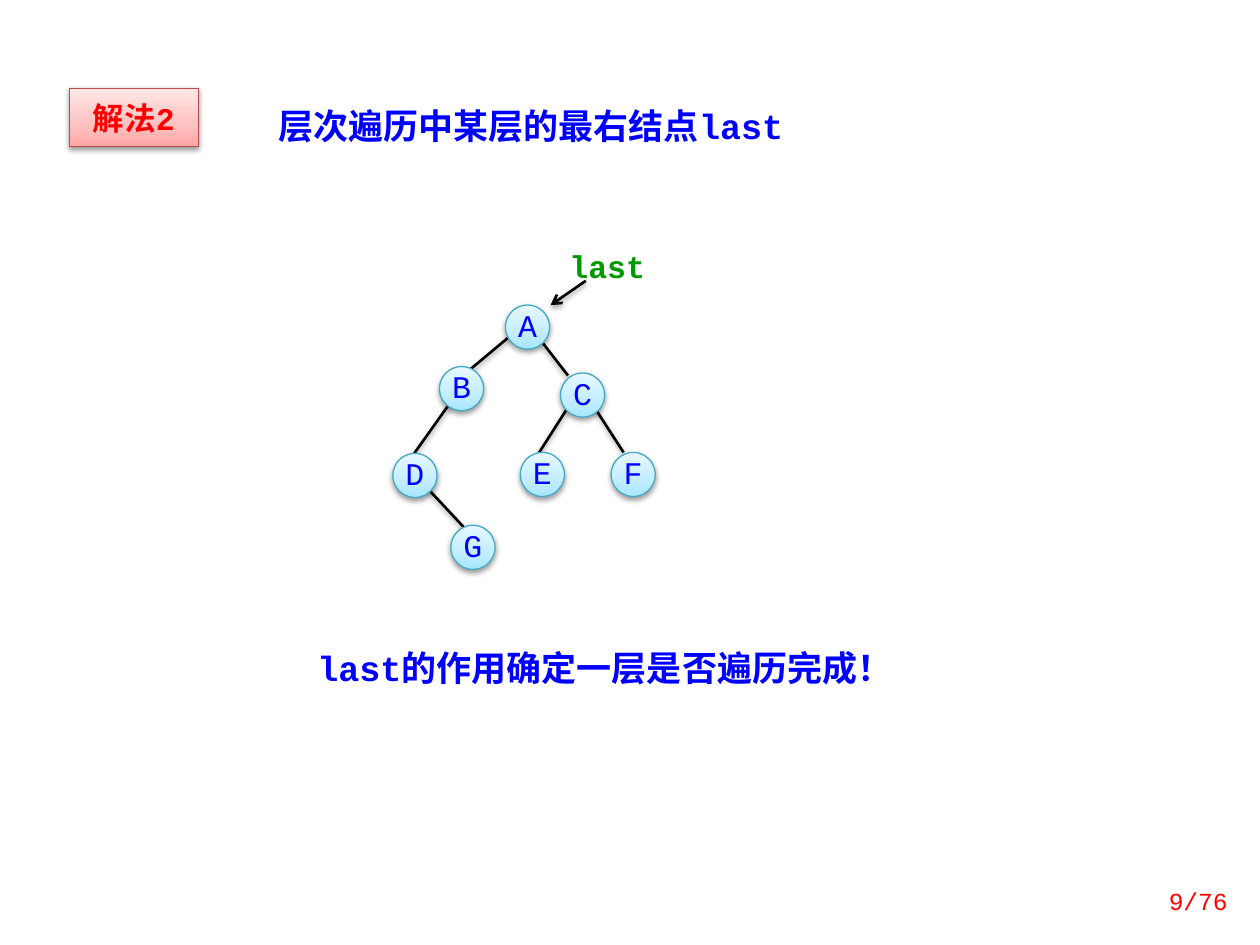
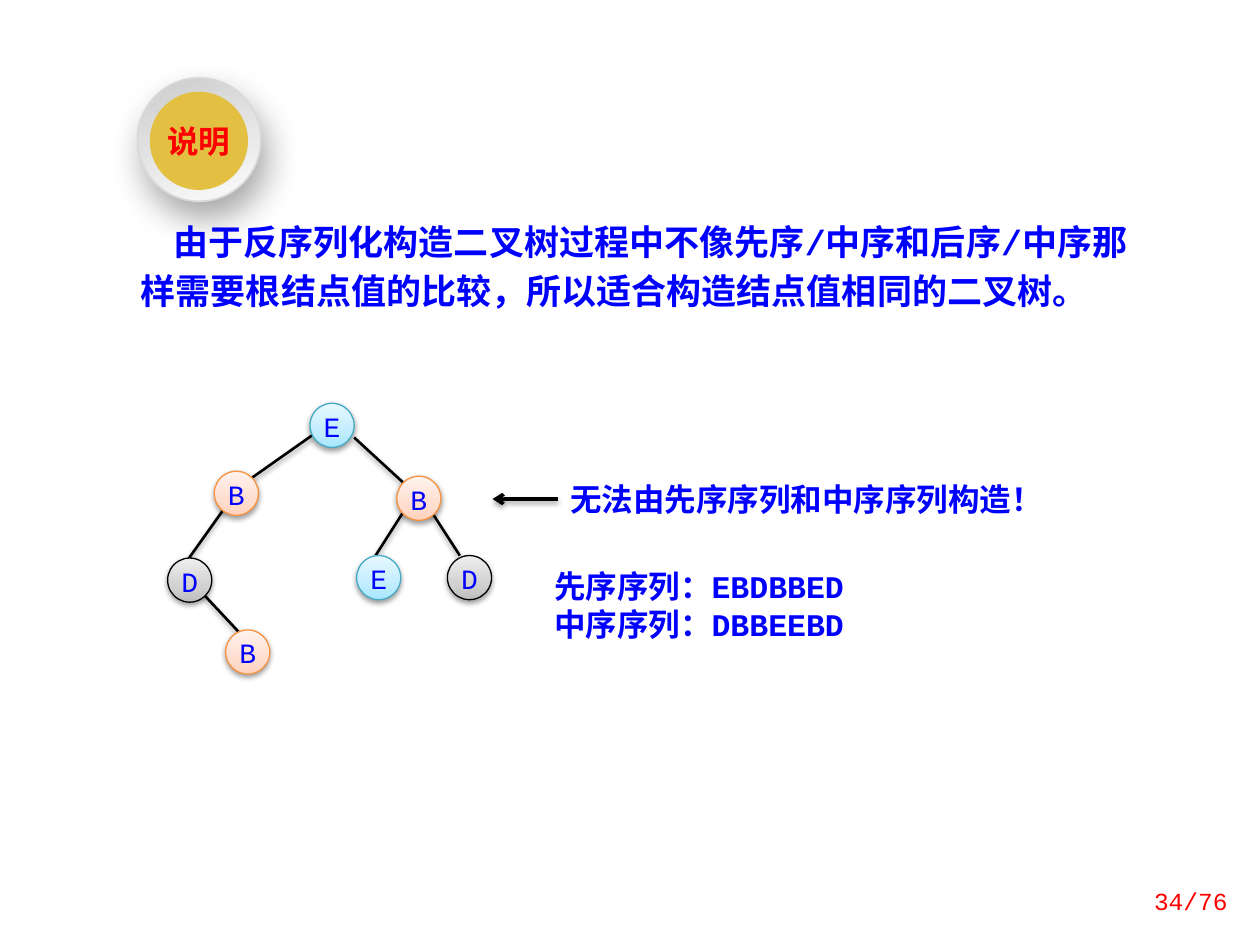
import pptx
import pptx.util
import pptx.dml.color
import pptx.enum.shapes
import pptx.enum.text
import pptx.oxml
import pptx.oxml.ns

Cm, Pt = pptx.util.Cm, pptx.util.Pt
SHAPE = pptx.enum.shapes.MSO_SHAPE
ALIGN = pptx.enum.text.PP_ALIGN
ANCHOR = pptx.enum.text.MSO_ANCHOR
qn = pptx.oxml.ns.qn

COLOURS = {
    "text": "0000FF", "alert": "FF0000", "pointer": "009900", "ink": "000000",
    "gold": "E3BF42", "rim": "D9D9D9",
}
# Each style: outline colour and gradient stops as (percent, colour).
STYLES = {
    "red": ("BF4C48", [(0, "FFA6A5"), (35, "FFC0BF"), (100, "FFE7E7")]),
    "blue": ("46AAC5", [(0, "A7E6FF"), (35, "C1EDFF"), (100, "E7F8FF")]),
    "orange": ("F69240", [(0, "FFD2BD"), (35, "FFDED0"), (100, "FFF2ED")]),
    "grey": ("000000", [(0, "BDBDBD"), (35, "D1D1D1"), (100, "EEEEEE")]),
    "ring": (COLOURS["rim"], [(0, "CCCCCC"), (100, "FCFCFC")]),
}
LATIN, CHINESE = "Courier New", "Noto Sans CJK SC"
NODE = 0.89
PAGE_TOTAL = 76

# Places relative to the top node of each subtree, in centimetres.
LEFT_NODES = [(0, 0), (-0.94, 1.75), (0.23, 3.2)]
LEFT_EDGES = [(0.28, 0.64, -0.51, 1.75), (-0.33, 2.36, 0.53, 3.28)]
RIGHT_NODES = [(0, 0), (-0.81, 1.6), (1.02, 1.6)]
RIGHT_EDGES = [(0.15, 0.69, -0.43, 1.6), (0.61, 0.58, 1.27, 1.6)]


def rgb(value):
    return pptx.dml.color.RGBColor.from_string(value)


def element(tag, **attributes):
    node = pptx.oxml.parse_xml(f"<a:{tag} {pptx.oxml.ns.nsdecls('a')}/>")
    for name, value in attributes.items():
        node.set(name, str(value))
    return node


def add_shadow(item, alpha=38, blur=3.1, distance=1.6, angle=90):
    effects = element("effectLst")
    shadow = element("outerShdw", blurRad=Pt(blur), dist=Pt(distance),
                     dir=angle * 60000, algn="ctr", rotWithShape=0)
    colour = element("srgbClr", val=COLOURS["ink"])
    colour.append(element("alpha", val=alpha * 1000))
    shadow.append(colour)
    effects.append(shadow)
    properties = item._element.spPr
    for old in properties.findall(qn("a:effectLst")):
        properties.remove(old)
    properties.append(effects)


def write(frame, lines, size, colour=COLOURS["text"], bold=True, align=ALIGN.LEFT,
          spacing=None, indent=None, latin=LATIN):
    frame.word_wrap = True
    for number, text in enumerate(lines):
        para = frame.paragraphs[0] if number == 0 else frame.add_paragraph()
        para.alignment = align
        if spacing:
            para.line_spacing = Pt(spacing)
        if indent:
            para._p.get_or_add_pPr().set("indent", str(Cm(indent)))
        span = para.add_run()
        span.text = text
        span.font.name, span.font.size, span.font.bold = latin, Pt(size), bold
        span.font.color.rgb = rgb(colour)
        span._r.get_or_add_rPr().find(qn("a:latin")).addnext(
            element("ea", typeface=CHINESE))


def add_text(page, left, top, width, height, lines, size, **style):
    box = page.shapes.add_textbox(Cm(left), Cm(top), Cm(width), Cm(height))
    write(box.text_frame, lines, size, **style)
    return box


def add_gradient_shape(page, preset, left, top, width, height, style,
                       angle=270, line_width=0.75):
    outline, stops = STYLES[style]
    shape = page.shapes.add_shape(preset, Cm(left), Cm(top), Cm(width), Cm(height))
    shape.fill.gradient()
    shape.fill.gradient_angle = 360 - angle
    stop_list = shape._element.spPr.find(qn("a:gradFill")).find(qn("a:gsLst"))
    for old in list(stop_list):
        stop_list.remove(old)
    for percent, colour in stops:
        stop = element("gs", pos=percent * 1000)
        stop.append(element("srgbClr", val=colour))
        stop_list.append(stop)
    shape.line.color.rgb = rgb(outline)
    shape.line.width = Pt(line_width)
    return shape


def add_line(page, x1, y1, x2, y2, width=1.5, arrow=False):
    line = page.shapes.add_connector(pptx.enum.shapes.MSO_CONNECTOR.STRAIGHT,
                                     Cm(x1), Cm(y1), Cm(x2), Cm(y2))
    line.line.color.rgb = rgb(COLOURS["ink"])
    line.line.width = Pt(width)
    if arrow:
        line.line._get_or_add_ln().append(element("tailEnd", type="arrow"))
    add_shadow(line)
    return line


def add_node(page, left, top, letter, style, size, spacing):
    node = add_gradient_shape(page, SHAPE.OVAL, left, top, NODE, NODE, style)
    add_shadow(node)
    frame = node.text_frame
    frame.margin_left = frame.margin_right = frame.margin_top = frame.margin_bottom = 0
    frame.vertical_anchor = ANCHOR.MIDDLE
    write(frame, [letter], size, bold=False, align=ALIGN.CENTER, spacing=spacing)


def add_tree(page, left, top, tops, root_edges, letters, styles, size, spacing):
    """Letters run root, left subtree, right subtree; tops places their top nodes."""
    root, left_top, right_top = [(left + x, top + y) for x, y in tops]
    places = [root]
    for (x, y), root_edge, nodes, edges in (
            (left_top, root_edges[0], LEFT_NODES, LEFT_EDGES),
            (right_top, root_edges[1], RIGHT_NODES, RIGHT_EDGES)):
        x1, y1, x2, y2 = root_edge
        add_line(page, root[0] + x1, root[1] + y1, x + x2, y + y2)
        for x1, y1, x2, y2 in edges:
            add_line(page, x + x1, y + y1, x + x2, y + y2)
        places += [(x + dx, y + dy) for dx, dy in nodes]
    for place, letter in zip(places, letters):
        add_node(page, *place, letter, styles[letter], size, spacing)


def add_page_number(page, number):
    box = add_text(page, 22.3, 17.65, 2.7, 1.02, [f"{number}/{PAGE_TOTAL}"], 14,
                   colour=COLOURS["alert"], bold=False, align=ALIGN.RIGHT)
    box.text_frame.vertical_anchor = ANCHOR.MIDDLE


def add_solution_label(page, left, top):
    label = add_gradient_shape(page, SHAPE.RECTANGLE, left, top, 2.6, 1.18, "red")
    add_shadow(label)
    label.text_frame.vertical_anchor = ANCHOR.MIDDLE
    write(label.text_frame, ["解法2"], 18, colour=COLOURS["alert"], align=ALIGN.CENTER)


def add_note_badge(page, left, top):
    ring = add_gradient_shape(page, SHAPE.OVAL, left, top, 2.49, 2.49, "ring",
                              angle=70, line_width=1)
    add_shadow(ring, alpha=34, blur=20, distance=10, angle=70)
    disc = page.shapes.add_shape(SHAPE.OVAL, Cm(left + 0.25), Cm(top + 0.28),
                                 Cm(1.98), Cm(1.98))
    disc.shadow.inherit = False
    disc.fill.solid()
    disc.fill.fore_color.rgb = rgb(COLOURS["gold"])
    disc.line.fill.background()
    frame = disc.text_frame
    frame.margin_left = frame.margin_right = 0
    frame.vertical_anchor = ANCHOR.MIDDLE
    write(frame, ["说明"], 18, colour=COLOURS["alert"], align=ALIGN.CENTER,
          latin=CHINESE)


def add_last_pointer(page, left, top):
    add_text(page, left, top, 2.18, 1.02, ["last"], 18, colour=COLOURS["pointer"])
    add_line(page, left + 0.58, top + 0.81, left - 0.13, top + 1.3, arrow=True)


def add_sequences(page, left, top):
    remark = add_text(page, left + 0.33, top, 10.92, 1.02,
                      ["无法由先序序列和中序序列构造！"], 18)
    arrow = add_line(page, left + 0.33, top + 0.51, left - 0.99, top + 0.51,
                     width=2, arrow=True)
    arrow.begin_connect(remark, 1)
    add_text(page, left, top + 1.75, 7.34, 1.8,
             ["先序序列：EBDBBED", "中序序列：DBBEEBD"], 18)


def build_last_node_page(page):
    add_solution_label(page, 1.4, 1.78)
    add_text(page, 5.36, 1.98, 11.71, 1.12, ["层次遍历中某层的最右结点last"], 20)
    add_tree(page, 7.92, 6.15, [(2.27, 0), (0.94, 1.24), (3.38, 1.37)],
             [(0.41, 0.36, 0.41, 0.23), (0.71, 0.71, 0.15, 0.05)],
             "ABDGCEF", dict.fromkeys("ABCDEFG", "blue"), 18, 19)
    add_last_pointer(page, 11.23, 4.85)
    add_text(page, 6.15, 12.9, 12.29, 1.12, ["last的作用确定一层是否遍历完成！"], 20)
    add_page_number(page, 9)


def build_equal_values_page(page):
    add_text(page, 2.59, 4.17, 21.03, 2.26,
             ["由于反序列化构造二叉树过程中不像先序/中序和后序/中序"
              "那样需要根结点值的比较，所以适合构造结点值相同的二叉树。"],
             20, spacing=28, indent=0.66)
    add_note_badge(page, 2.77, 1.57)
    add_tree(page, 3.38, 8.13, [(2.87, 0), (0.94, 1.37), (4.62, 1.47)],
             [(0.05, 0.64, 0.76, 0.13), (0.89, 0.69, 0.13, 0.13)],
             "EBDBBED", {"E": "blue", "B": "orange", "D": "grey"}, 16, 20)
    add_sequences(page, 10.92, 9.55)
    add_page_number(page, 34)


def main():
    deck = pptx.Presentation()
    deck.slide_width, deck.slide_height = Cm(25.4), Cm(19.05)
    for build in (build_last_node_page, build_equal_values_page):
        build(deck.slides.add_slide(deck.slide_layouts[6]))
    deck.save("out.pptx")


if __name__ == "__main__":
    main()
